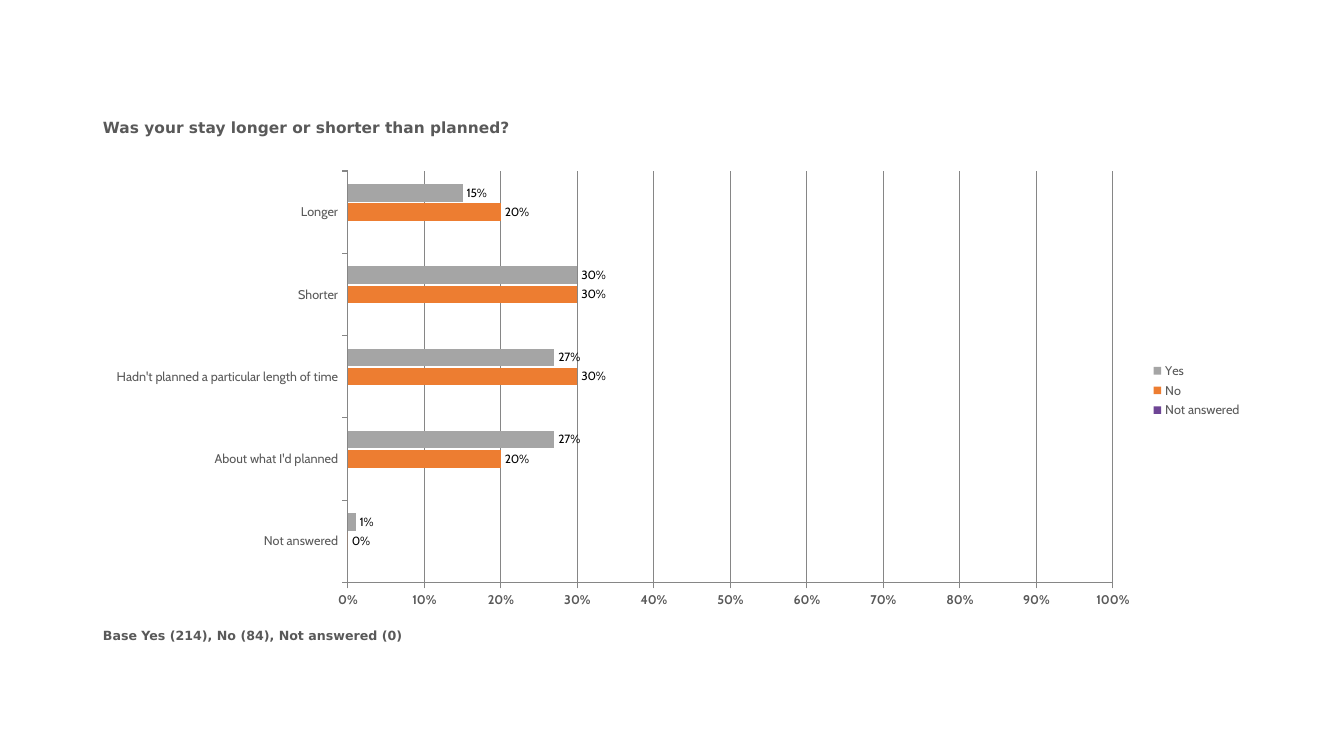
from lxml import etree
from pptx import Presentation
from pptx.chart.data import CategoryChartData
from pptx.dml.color import RGBColor
from pptx.enum.chart import (XL_CHART_TYPE, XL_LABEL_POSITION, XL_LEGEND_POSITION,
                             XL_TICK_LABEL_POSITION, XL_TICK_MARK)
from pptx.oxml.ns import qn
from pptx.util import Pt

PX = 914400 / 100.8
BAR_CLUSTERED = XL_CHART_TYPE.BAR_CLUSTERED
OUTSIDE_END = XL_LABEL_POSITION.OUTSIDE_END
LEGEND_RIGHT = XL_LEGEND_POSITION.RIGHT
LABELS_LOW = XL_TICK_LABEL_POSITION.LOW
TICK_OUT, TICK_NONE = XL_TICK_MARK.OUTSIDE, XL_TICK_MARK.NONE

COLORS = {"text": "595959", "label": "000000", "line": "868686",
          "Not answered": "6E4595", "No": "ED7D31", "Yes": "A5A5A5"}
HEADING_FONT, CHART_FONT = "DejaVu Sans", "Cabin"
PERCENT = "0%"

CATEGORIES = ["Not answered", "About what I'd planned",
              "Hadn't planned a particular length of time", "Shorter", "Longer"]
ANSWERS = {"Not answered": [None] * len(CATEGORIES),
           "No": [0, 0.2, 0.3, 0.3, 0.2],
           "Yes": [0.01, 0.27, 0.27, 0.3, 0.15]}


def emu(*lengths):
    return [round(length * PX) for length in lengths]


def rgb(name):
    return RGBColor.from_string(COLORS[name])


def style_font(font, name, size, color, bold=False):
    font.name, font.size, font.bold = name, Pt(size), bold
    font.color.rgb = rgb(color)


def add_heading(slide, box, text, size):
    frame = slide.shapes.add_textbox(*emu(*box)).text_frame
    frame.word_wrap = True
    para = frame.paragraphs[0]
    para.text = text
    style_font(para.font, HEADING_FONT, size, "text", bold=True)


def set_plot_layout(chart, **fractions):
    """Fix the inner plot area as fractions of the chart's size."""
    plot_area = chart._chartSpace.chart.plotArea
    for old in plot_area.findall(qn("c:layout")):
        plot_area.remove(old)
    layout = etree.Element(qn("c:layout"))
    manual = etree.SubElement(layout, qn("c:manualLayout"))
    settings = {"layoutTarget": "inner", "xMode": "edge", "yMode": "edge", **fractions}
    for tag, value in settings.items():
        etree.SubElement(manual, qn(f"c:{tag}")).set("val", str(value))
    plot_area.insert(0, layout)


def style_axis(axis, bold):
    axis.tick_label_position = LABELS_LOW
    axis.major_tick_mark, axis.minor_tick_mark = TICK_OUT, TICK_NONE
    axis.format.line.color.rgb = rgb("line")
    axis.format.line.width = Pt(0.75)
    style_font(axis.tick_labels.font, CHART_FONT, 9, "text", bold)


def style_series(series):
    series.format.fill.solid()
    series.format.fill.fore_color.rgb = rgb(series.name)
    series.invert_if_negative = False
    labels = series.data_labels
    labels.show_value = True
    labels.position = OUTSIDE_END
    labels.number_format, labels.number_format_is_linked = PERCENT, False
    style_font(labels.font, CHART_FONT, 8.5, "label")


def add_answer_chart(slide, box):
    data = CategoryChartData(number_format=PERCENT)
    data.categories = CATEGORIES
    for name, values in ANSWERS.items():
        data.add_series(name, values)
    chart = slide.shapes.add_chart(BAR_CLUSTERED, *emu(*box), data).chart
    chart.has_title = False
    style_font(chart.font, "Calibri", 18, "label")
    set_plot_layout(chart, x=0.22, y=0.02, w=0.66, h=0.9)

    chart.has_legend = True
    chart.legend.position = LEGEND_RIGHT
    chart.legend.include_in_layout = False
    style_font(chart.legend.font, CHART_FONT, 9, "text")

    plot = chart.plots[0]
    plot.gap_width, plot.overlap, plot.vary_by_categories = 150, -10, False
    for series in plot.series:
        style_series(series)

    style_axis(chart.category_axis, bold=False)
    chart.category_axis.has_major_gridlines = False
    scale = chart.value_axis
    style_axis(scale, bold=True)
    scale.minimum_scale, scale.maximum_scale, scale.major_unit = 0, 1, 0.1
    scale.tick_labels.number_format = PERCENT
    scale.tick_labels.number_format_is_linked = False
    scale.has_major_gridlines = True
    scale.major_gridlines.format.line.color.rgb = rgb("line")
    scale.major_gridlines.format.line.width = Pt(0.75)


def add_survey_slide(deck, box):
    left, top, width, height = box
    slide = deck.slides.add_slide(deck.slide_layouts[6])
    add_heading(slide, (left, top, width, 51),
                "Was your stay longer or shorter than planned?", 11)
    add_answer_chart(slide, (left, top + 49, width, 457))
    add_heading(slide, (left, top + height - 43, width, 43),
                "Base Yes (214), No (84), Not answered (0)", 9)


def main():
    deck = Presentation()
    deck.slide_width, deck.slide_height = emu(1344, 756)
    add_survey_slide(deck, (93, 113, 1159, 553))
    deck.save("out.pptx")


if __name__ == "__main__":
    main()
